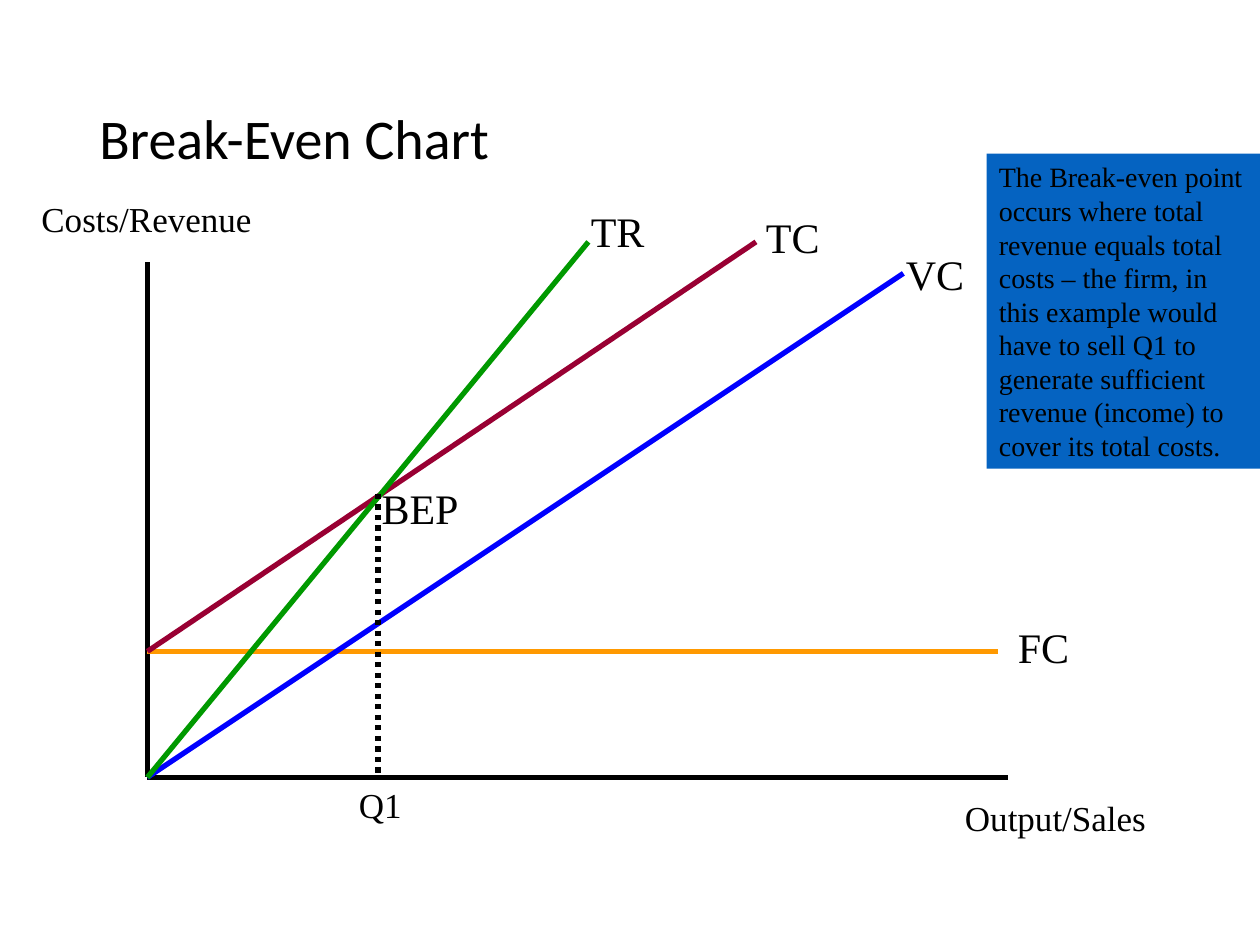
from pptx import Presentation
from pptx.dml.color import RGBColor as Rgb
from pptx.enum.dml import MSO_LINE as Dash
from pptx.enum.shapes import MSO_CONNECTOR as Conn, MSO_SHAPE as Geo
from pptx.enum.text import MSO_ANCHOR as Anchor, MSO_AUTO_SIZE as Auto, PP_ALIGN as Align
from pptx.oxml.ns import qn
from pptx.util import Inches, Pt
from lxml.etree import SubElement

SERIF = "Times New Roman"
BLACK = "000000"
LEFT, BASE = 1.17, 6.17  # origin of the axes
FIXED = 5.17             # height of fixed cost
BREAK = 3                # output at the break-even point

NOTE = ("The Break-even point occurs where total revenue equals total costs – "
        "the firm, in this example would have to sell Q1 to generate sufficient "
        "revenue (income) to cover its total costs.")

# start, end, colour
LINES = [
    ((LEFT, 2.08), (LEFT, BASE), BLACK),
    ((LEFT, BASE), (8, BASE), BLACK),
    ((LEFT, FIXED), (7.92, FIXED), "FF9900"),
    ((LEFT, BASE), (7.17, 2.17), "0000FF"),
    ((LEFT, FIXED), (6, 1.92), "990033"),
    ((LEFT, BASE), (4.67, 1.92), "009900"),
]

# text, left, top, width, size
LABELS = [
    ("Costs/Revenue", 0.23, 1.52, 1.88, 20),
    ("Output/Sales", 7.56, 6.27, 1.65, 20),
    ("Q1", 2.75, BASE, 0.55, 20),
    ("FC", 7.98, 4.88, 0.63, 24),
    ("VC", 7.09, 1.92, 0.68, 24),
    ("TC", 5.98, 1.63, 0.65, 24),
    ("TR", 4.59, 1.58, 0.65, 24),
    ("BEP", 2.93, 3.78, 0.83, 24),
]


def paint(code):
    return Rgb.from_string(code)


def apply(item, values):
    for name, value in values.items():
        setattr(item, name, value)


def write(shape, text, size, face=SERIF, **frame):
    body = shape.text_frame
    apply(body, frame)
    para = body.paragraphs[0]
    para.text = text
    para.alignment = Align.LEFT
    apply(para.font, {"name": face, "size": Pt(size)})
    para.font.color.rgb = paint(BLACK)
    return para


def add_line(slide, start, end, color, dash=None):
    ends = [Inches(v) for v in (*start, *end)]
    line = slide.shapes.add_connector(Conn.STRAIGHT, *ends)
    apply(line.line, {"width": Pt(3), "dash_style": dash})
    line.line.color.rgb = paint(color)
    SubElement(line._element.spPr, qn("a:effectLst"))


def add_label(slide, text, left, top, width, size):
    height = 0.44 if size == 20 else 0.5
    box = slide.shapes.add_textbox(*map(Inches, (left, top, width, height)))
    write(box, text, size, word_wrap=False, auto_size=Auto.NONE)


def add_title(slide, text):
    box = slide.shapes.add_textbox(*map(Inches, (0.69, 0.4, 8.63, 1.45)))
    para = write(box, text, 32, "Calibri",
                 word_wrap=True, vertical_anchor=Anchor.MIDDLE)
    para.line_spacing = 0.9


def add_note(slide, text):
    box = slide.shapes.add_shape(
        Geo.RECTANGLE, *map(Inches, (7.83, 1.22, 2.17, 2.5)))
    box.shadow.inherit = False
    box.fill.solid()
    box.fill.fore_color.rgb = paint("0563C1")
    box.line.fill.background()
    write(box, text, 16, word_wrap=True, vertical_anchor=Anchor.TOP,
          auto_size=Auto.SHAPE_TO_FIT_TEXT)


def main():
    deck = Presentation()
    apply(deck, {"slide_width": Inches(10), "slide_height": Inches(7.5)})
    slide = deck.slides.add_slide(deck.slide_layouts[6])

    add_title(slide, "Break-Even Chart")

    # Axes, cost lines and revenue line
    for line in LINES:
        add_line(slide, *line)

    # Drop from the break-even point to the output axis
    add_line(slide, (BREAK, 3.92), (BREAK, BASE), BLACK, Dash.ROUND_DOT)

    # Names of axes, lines and points
    for label in LABELS:
        add_label(slide, *label)

    add_note(slide, NOTE)
    deck.save("out.pptx")


if __name__ == "__main__":
    main()
